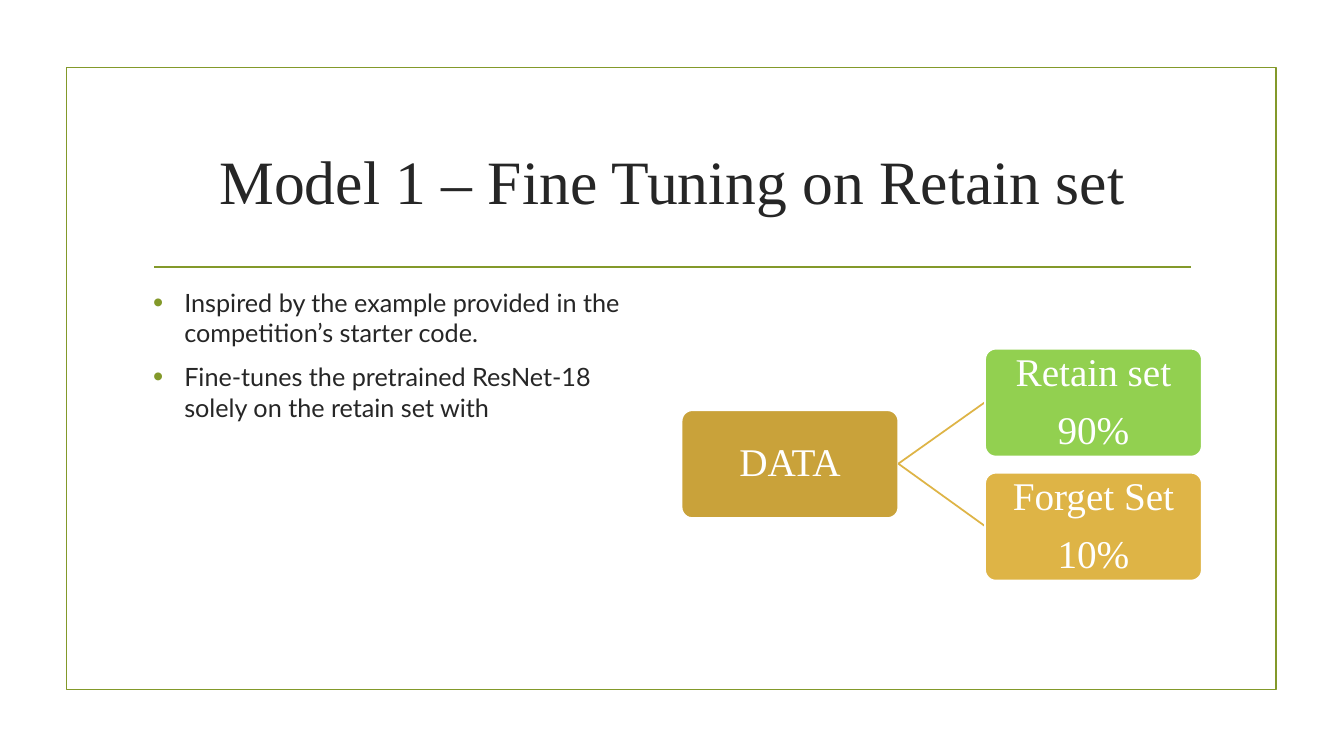
from dataclasses import dataclass

from lxml import etree
from pptx import Presentation
from pptx.dml.color import RGBColor
from pptx.enum.shapes import MSO_CONNECTOR, MSO_SHAPE
from pptx.enum.text import MSO_ANCHOR, PP_ALIGN
from pptx.oxml.ns import qn
from pptx.util import Emu, Pt

STRAIGHT = MSO_CONNECTOR.STRAIGHT
RECTANGLE, ROUNDED = MSO_SHAPE.RECTANGLE, MSO_SHAPE.ROUNDED_RECTANGLE
TOP, MIDDLE = MSO_ANCHOR.TOP, MSO_ANCHOR.MIDDLE
LEFT, CENTER = PP_ALIGN.LEFT, PP_ALIGN.CENTER

SERIF, SANS = "Times New Roman", "Lato"
GREEN, GOLD, DARK, WHITE = "83992A", "DEB446", "262626", "FFFFFF"
LINE_WIDTH = Pt(1.25)
NODE_WIDTH, NODE_HEIGHT = 215, 107


@dataclass
class Node:
    lines: list[str]
    left: int
    top: int
    fill: str

    @property
    def middle(self) -> int:
        return self.top + NODE_HEIGHT // 2


def px(length: int) -> Emu:
    """100 px to the inch."""
    return Emu(length * 9144)


def color(value: str) -> RGBColor:
    return RGBColor.from_string(value)


def add_bullet(para) -> None:
    properties = para._p.get_or_add_pPr()
    properties.set("marL", str(px(31)))
    properties.set("indent", str(-px(31)))
    bullet_color = etree.SubElement(properties, qn("a:buClr"))
    etree.SubElement(bullet_color, qn("a:srgbClr"), val=GREEN)
    etree.SubElement(properties, qn("a:buSzPct"), val="115000")
    etree.SubElement(properties, qn("a:buFont"), typeface="Arial")
    etree.SubElement(properties, qn("a:buChar"), char="•")


def write_text(box, lines: list[str], *, font: str, size: int, ink: str,
               align=CENTER, anchor=MIDDLE, margins=(10, 5), before=0,
               after=0, spacing=1.0, bullets=False) -> None:
    frame = box.text_frame
    frame.word_wrap = True
    frame.vertical_anchor = anchor
    frame.margin_left = frame.margin_right = px(margins[0])
    frame.margin_top = frame.margin_bottom = px(margins[1])
    for index, line in enumerate(lines):
        para = frame.add_paragraph() if index else frame.paragraphs[0]
        para.alignment = align
        para.line_spacing = spacing
        para.space_before = Pt(before if index else 0)
        para.space_after = Pt(after)
        if bullets:
            add_bullet(para)
        span = para.add_run()
        span.text = line
        span.font.name = font
        span.font.size = Pt(size)
        span.font.color.rgb = color(ink)


def add_text(page, lines: list[str], left: int, top: int, width: int,
             height: int, **text_format) -> None:
    box = page.shapes.add_textbox(px(left), px(top), px(width), px(height))
    write_text(box, lines, **text_format)


def add_line(page, start: tuple[int, int], end: tuple[int, int], ink: str) -> None:
    line = page.shapes.add_connector(STRAIGHT, *map(px, start + end))
    line.line.color.rgb = color(ink)
    line.line.width = LINE_WIDTH
    etree.SubElement(line._element.spPr, qn("a:effectLst"))


def add_box(page, kind, left: int, top: int, width: int, height: int,
            outline: str, fill: str | None = None):
    box = page.shapes.add_shape(kind, px(left), px(top), px(width), px(height))
    box.shadow.inherit = False
    if fill:
        box.fill.solid()
        box.fill.fore_color.rgb = color(fill)
    else:
        box.fill.background()
    box.line.color.rgb = color(outline)
    box.line.width = LINE_WIDTH
    return box


def add_node(page, node: Node) -> None:
    box = add_box(page, ROUNDED, node.left, node.top, NODE_WIDTH, NODE_HEIGHT,
                  WHITE, node.fill)
    box.adjustments[0] = 0.1
    write_text(box, node.lines, font=SERIF, size=28, ink=WHITE,
               margins=(2, 2), after=11, spacing=0.9)


def main() -> None:
    deck = Presentation()
    deck.slide_width, deck.slide_height = px(1333), px(750)
    page = deck.slides.add_slide(deck.slide_layouts[6])

    # Frame and title rule
    add_box(page, RECTANGLE, 66, 67, 1200, 617, GREEN)
    add_line(page, (153, 265), (1181, 265), GREEN)

    # Title and bullets
    add_text(page, ["Model 1 – Fine Tuning on Retain set"], 142, 107, 1050, 143,
             font=SERIF, size=44, ink=DARK)
    add_text(page, ["Inspired by the example provided in the competition’s starter code.",
                    "Fine-tunes the pretrained ResNet-18 solely on the retain set with"],
             142, 280, 516, 362, font=SANS, size=18, ink=DARK, align=LEFT,
             anchor=TOP, before=4, after=6, bullets=True)

    # Data split tree
    data = Node(["DATA"], 676, 407, "C9A23A")
    subsets = [Node(["Retain set", "90%"], 977, 346, "92D050"),
               Node(["Forget Set", "10%"], 977, 469, GOLD)]
    add_node(page, data)
    for subset in subsets:
        add_line(page, (data.left + NODE_WIDTH, data.middle),
                 (subset.left, subset.middle), GOLD)
        add_node(page, subset)

    deck.save("out.pptx")


if __name__ == "__main__":
    main()
